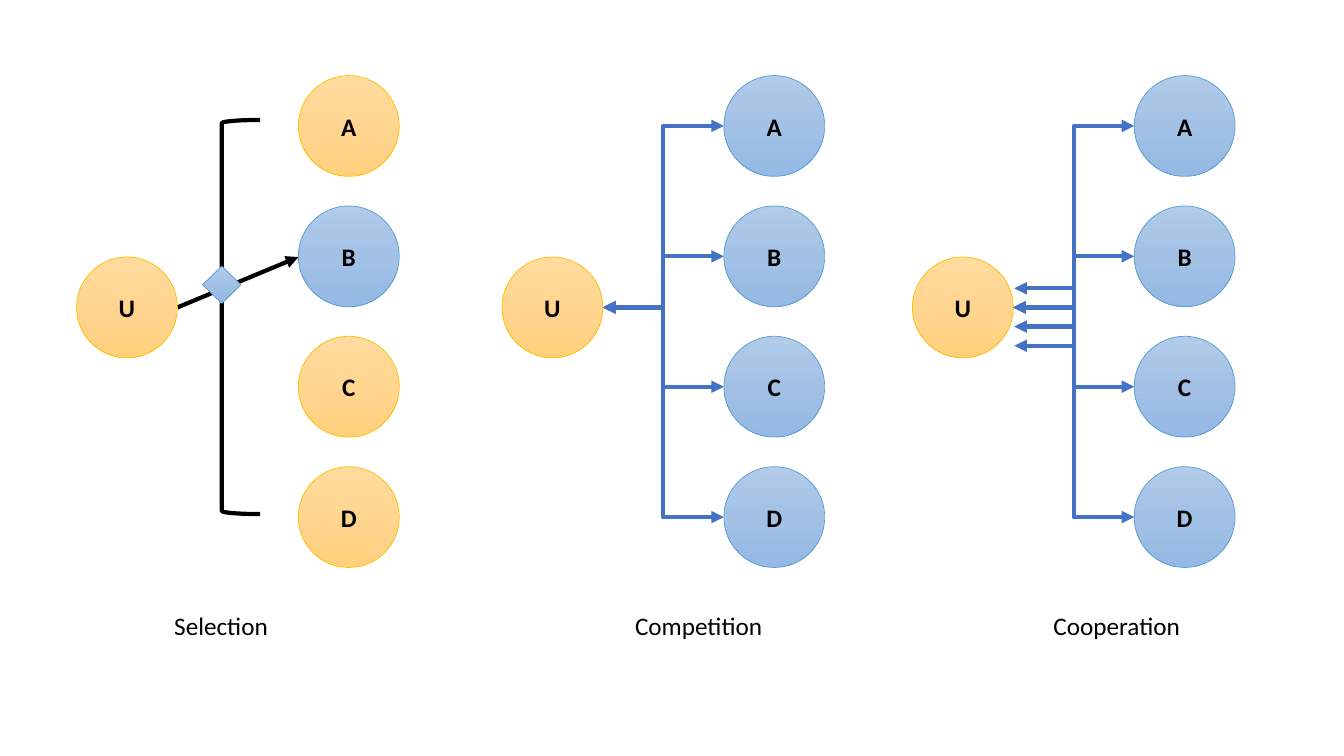
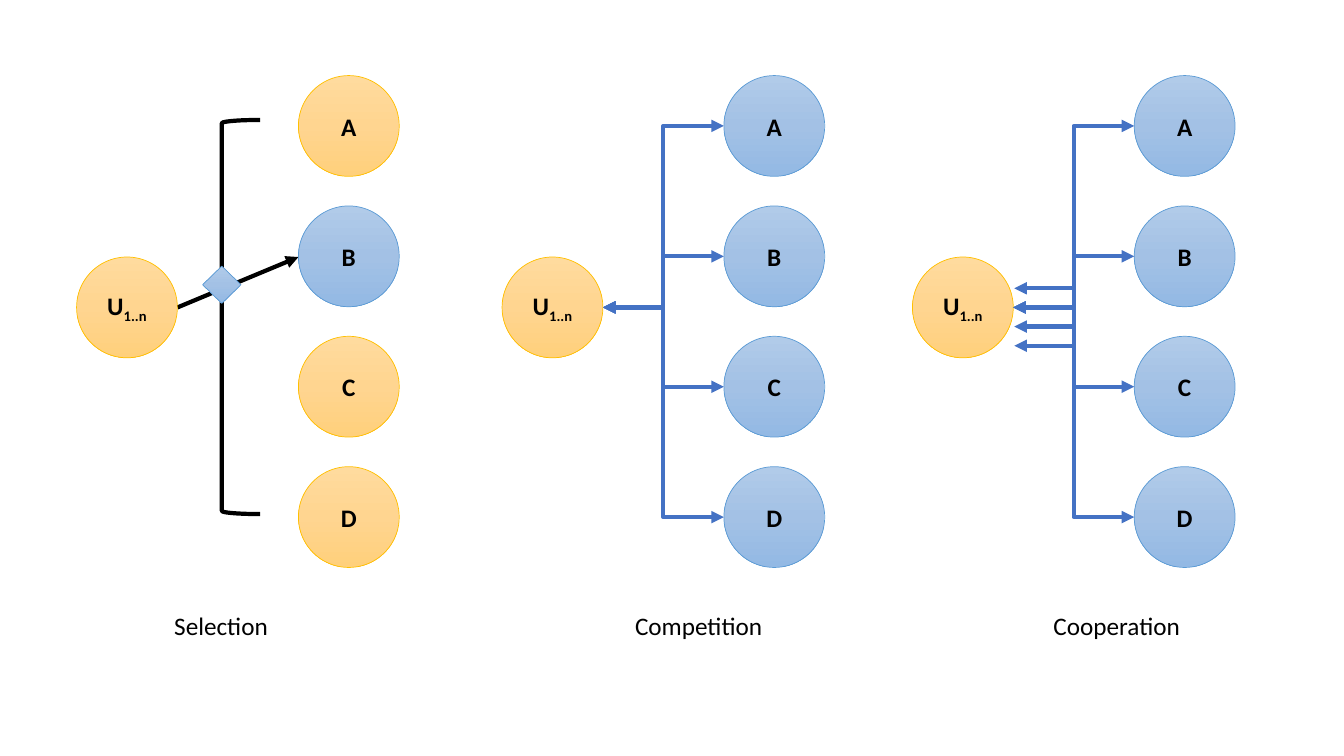
from copy import deepcopy

from pptx import Presentation
from pptx.dml.color import RGBColor
from pptx.enum.shapes import MSO_CONNECTOR, MSO_SHAPE
from pptx.enum.text import MSO_ANCHOR, MSO_AUTO_SIZE, PP_ALIGN
from pptx.oxml.ns import qn
from pptx.util import Inches, Pt

BLACK = RGBColor(0x00, 0x00, 0x00)
LINK_BLUE = RGBColor(0x44, 0x72, 0xC4)
# Each tone: outline colour, then the gradient from top to bottom.
GOLD = (RGBColor(0xFF, 0xC0, 0x00),
        (RGBColor(0xFF, 0xDB, 0x9E), RGBColor(0xFF, 0xD5, 0x90), RGBColor(0xFF, 0xD0, 0x7C)))
BLUE = (RGBColor(0x5B, 0x9B, 0xD5),
        (RGBColor(0xB1, 0xCB, 0xE9), RGBColor(0xA3, 0xC1, 0xE5), RGBColor(0x93, 0xB9, 0xE4)))

FONT = "Calibri"
TEXT_SIZE = Pt(18)
LINK_WIDTH = Pt(3)
OUTLINE_WIDTH = Pt(0.5)

PROVIDERS = "ABCD"
DIAMETER = 1.0
PROVIDER_TOP = 0.75
PROVIDER_PITCH = (4.63 - PROVIDER_TOP) / 3
PROVIDER_OFFSET = 2.2
USER_TOP = 2.55
USER_MIDDLE = USER_TOP + DIAMETER / 2
CAPTION_TOP = 6.01
CAPTION_HEIGHT = 0.4
RETURN_PITCH = 0.19


class Diagram:
    """Holds the shared style and draws elements on the current slide."""

    def __init__(self):
        """Start a widescreen presentation."""
        self.deck = Presentation()
        self.deck.slide_width = Inches(13.33)
        self.deck.slide_height = Inches(7.5)
        self.slide = None

    def new_slide(self):
        """Add a blank slide and make it current."""
        self.slide = self.deck.slides.add_slide(self.deck.slide_layouts[6])

    def style_text(self, paragraph, bold=False):
        """Apply the common font to a paragraph."""
        paragraph.font.name = FONT
        paragraph.font.size = TEXT_SIZE
        paragraph.font.bold = bold
        paragraph.font.color.rgb = BLACK

    def toned_shape(self, preset, left, top, width, height, tone):
        """Add a preset shape with a three-stop vertical gradient."""
        outline, gradient = tone
        shape = self.slide.shapes.add_shape(
            preset, Inches(left), Inches(top), Inches(width), Inches(height))
        shape.shadow.inherit = False
        shape.line.color.rgb = outline
        shape.line.width = OUTLINE_WIDTH
        shape.fill.gradient()
        shape.fill.gradient_angle = 270
        stops = shape._element.spPr.find(qn("a:gradFill")).find(qn("a:gsLst"))
        stops.insert(1, deepcopy(stops[0]))
        for stop, color, position in zip(shape.fill.gradient_stops, gradient, (0, 0.5, 1)):
            stop.color.rgb = color
            stop.position = position
        return shape

    def circle(self, label, left, top, tone, subscript=""):
        """Add a labelled circle, with an optional subscript."""
        frame = self.toned_shape(
            MSO_SHAPE.OVAL, left, top, DIAMETER, DIAMETER, tone).text_frame
        frame.vertical_anchor = MSO_ANCHOR.MIDDLE
        paragraph = frame.paragraphs[0]
        paragraph.alignment = PP_ALIGN.CENTER
        self.style_text(paragraph, bold=True)
        paragraph.add_run().text = label
        if subscript:
            index = paragraph.add_run()
            index.text = subscript
            index.font._element.set("baseline", "-25000")

    def bracket(self, left, top, width, height):
        """Add the black bracket that gathers the options."""
        bracket = self.slide.shapes.add_shape(
            MSO_SHAPE.LEFT_BRACKET, Inches(left), Inches(top), Inches(width), Inches(height))
        bracket.shadow.inherit = False
        bracket.fill.background()
        bracket.line.color.rgb = BLACK
        bracket.line.width = LINK_WIDTH

    def arrow(self, start, end, color=LINK_BLUE, kind=MSO_CONNECTOR.STRAIGHT, ends=("tailEnd",)):
        """Add a connector with triangular heads at the given ends."""
        link = self.slide.shapes.add_connector(kind, *(Inches(value) for value in start + end))
        link.line.color.rgb = color
        link.line.width = LINK_WIDTH
        outline = link.line._get_or_add_ln()
        for end_tag in ends:
            outline.makeelement(qn("a:" + end_tag))
            head = outline.makeelement(qn("a:" + end_tag), {"type": "triangle"})
            outline.append(head)
        properties = link._element.spPr
        properties.append(properties.makeelement(qn("a:effectLst")))

    def caption(self, text, left, width):
        """Add a panel caption below the circles."""
        frame = self.slide.shapes.add_textbox(
            Inches(left), Inches(CAPTION_TOP), Inches(width), Inches(CAPTION_HEIGHT)).text_frame
        frame.word_wrap = False
        frame.auto_size = MSO_AUTO_SIZE.SHAPE_TO_FIT_TEXT
        frame.text = text
        self.style_text(frame.paragraphs[0])

    def parties(self, left, subscript, chosen=PROVIDERS):
        """Add the user and the provider column, with chosen providers in blue."""
        for row, provider in enumerate(PROVIDERS):
            self.circle(provider, left + PROVIDER_OFFSET, PROVIDER_TOP + row * PROVIDER_PITCH,
                        BLUE if provider in chosen else GOLD)
        self.circle("U", left, USER_TOP, GOLD, subscript)

    def provider_links(self, left):
        """Join the user to every provider with two-headed elbows."""
        for row in range(len(PROVIDERS)):
            provider_middle = PROVIDER_TOP + row * PROVIDER_PITCH + DIAMETER / 2
            self.arrow((left + DIAMETER, USER_MIDDLE), (left + PROVIDER_OFFSET, provider_middle),
                       kind=MSO_CONNECTOR.ELBOW, ends=("headEnd", "tailEnd"))

    def selection(self, left, subscript):
        """Draw the panel where the user picks one provider."""
        self.bracket(left + 1.44, 1.19, 0.38, 3.91)
        self.arrow((left + DIAMETER, USER_MIDDLE), (left + PROVIDER_OFFSET, 2.55), color=BLACK)
        self.parties(left, subscript, chosen="B")
        self.toned_shape(MSO_SHAPE.DIAMOND, left + 1.25, 2.64, 0.38, 0.37, BLUE)
        self.caption("Selection", left + 0.87, 1.14)

    def competition(self, left, subscript):
        """Draw the panel where providers share one return link."""
        self.provider_links(left)
        self.parties(left, subscript)
        self.caption("Competition", left + 1.22, 1.48)

    def cooperation(self, left, subscript):
        """Draw the panel where each provider has its own return link."""
        self.parties(left, subscript)
        self.provider_links(left)
        for step in (-1, 1, 2):
            height = USER_MIDDLE + step * RETURN_PITCH
            self.arrow((left + 1.6, height), (left + 1.01, height))
        self.caption("Cooperation", left + 1.3, 1.47)


def main():
    """Build both slides: one user, then users 1 to n."""
    diagram = Diagram()
    for subscript in ("", "1..n"):
        diagram.new_slide()
        diagram.selection(0.76, subscript)
        diagram.competition(4.98, subscript)
        diagram.cooperation(9.05, subscript)
    diagram.deck.save("out.pptx")


main()
